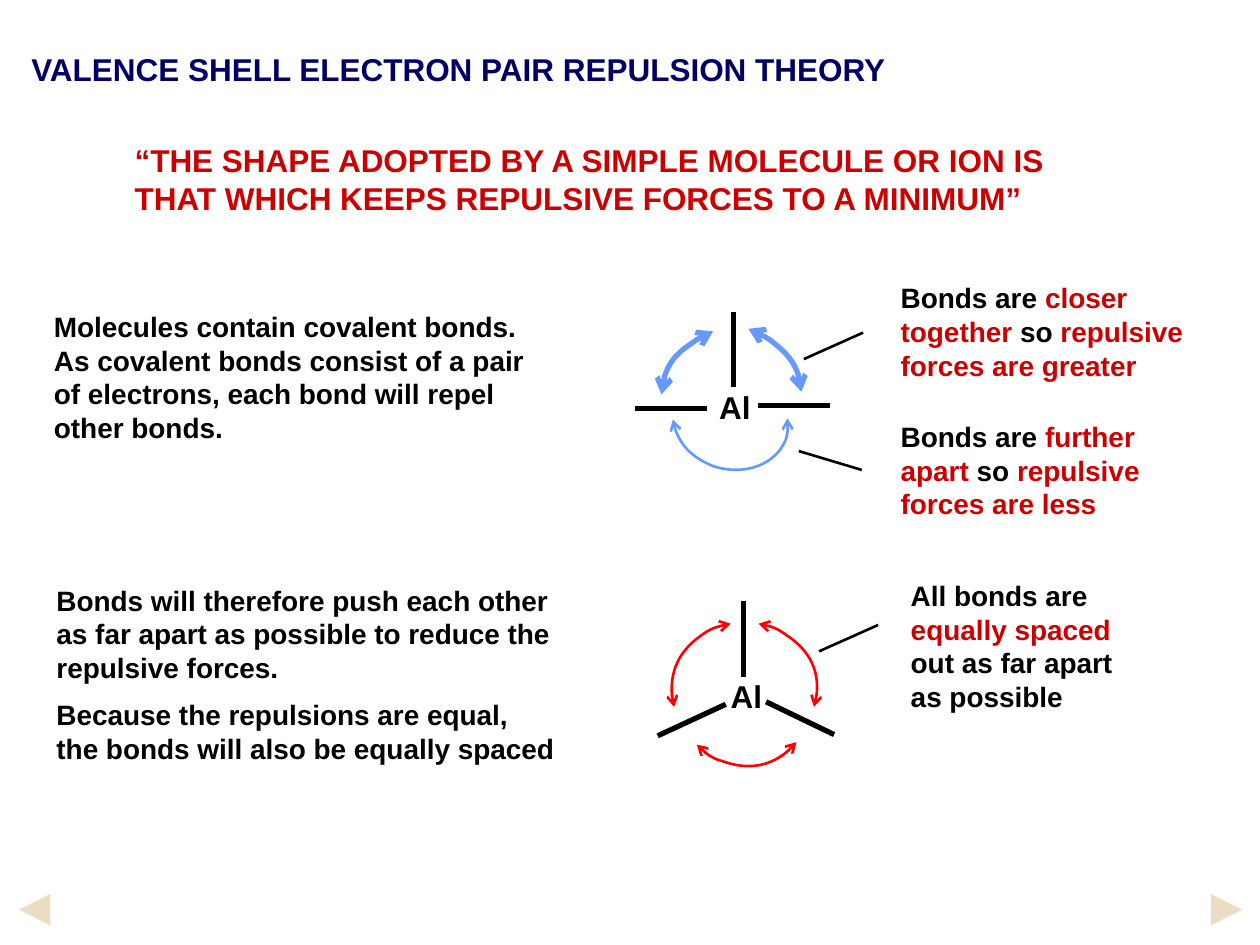
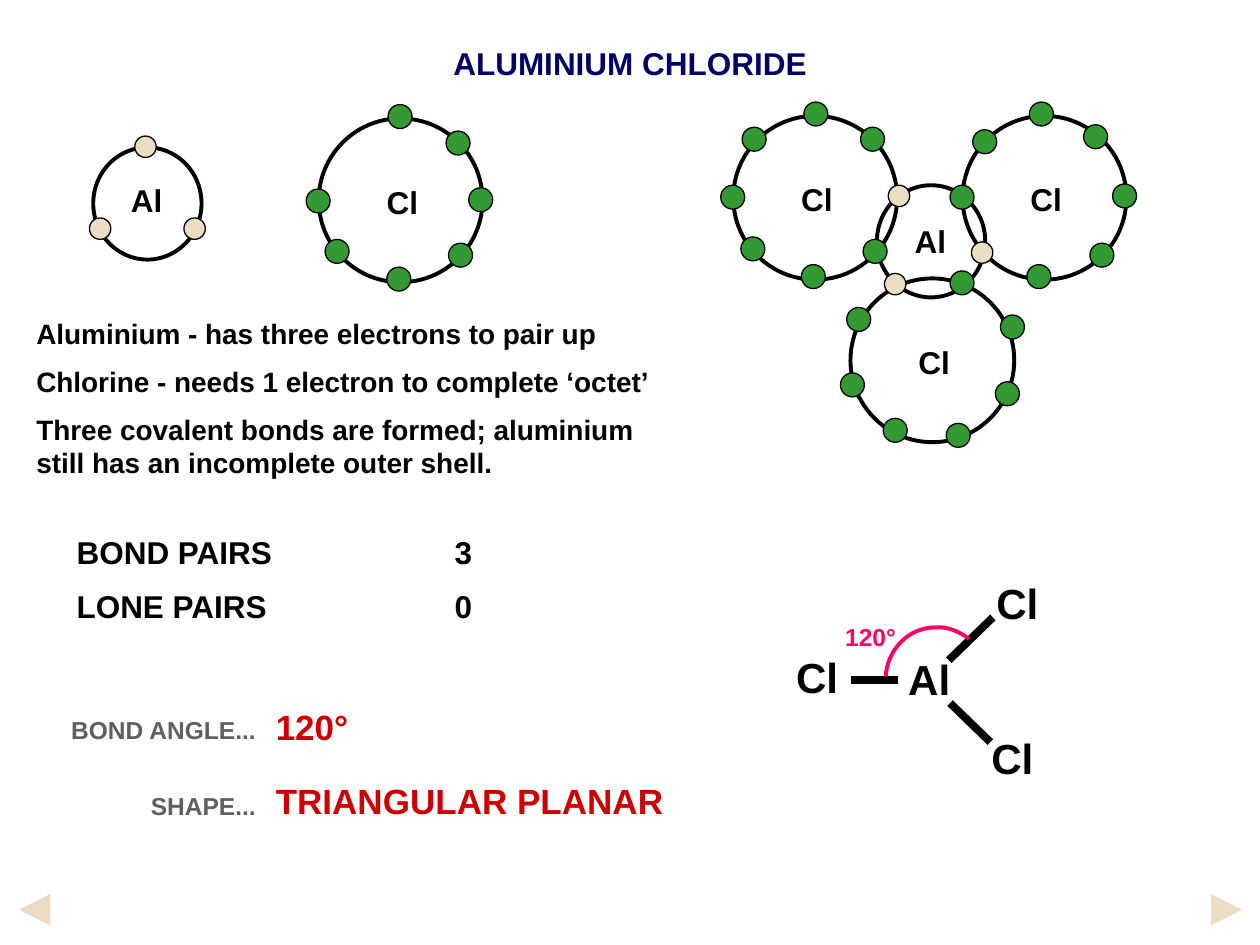
from dataclasses import dataclass
from math import cos, radians, sin
from typing import NamedTuple

from lxml import etree
from pptx import Presentation
from pptx.dml.color import RGBColor
from pptx.enum.shapes import MSO_CONNECTOR, MSO_SHAPE
from pptx.enum.text import MSO_ANCHOR, PP_ALIGN
from pptx.oxml.ns import qn
from pptx.util import Pt

PX = 9144  # 100 px to the inch
FONT = "Arial"
BLACK = RGBColor(0x00, 0x00, 0x00)
NAVY = RGBColor(0x00, 0x00, 0x66)
CRIMSON = RGBColor(0xCC, 0x00, 0x00)
RED = RGBColor(0xFF, 0x00, 0x00)
BLUE = RGBColor(0x66, 0x99, 0xFF)
PINK = RGBColor(0xFF, 0x00, 0x66)
GREY = RGBColor(0x5F, 0x5F, 0x5F)
SAND = RGBColor(0xEB, 0xDD, 0xC3)
GREEN = RGBColor(0x33, 0x99, 0x33)
TOP, MIDDLE = MSO_ANCHOR.TOP, MSO_ANCHOR.MIDDLE
LEFT, RIGHT = PP_ALIGN.LEFT, PP_ALIGN.RIGHT
OVAL = MSO_SHAPE.OVAL
STRAIGHT = MSO_CONNECTOR.STRAIGHT

Point = tuple[int, int]


@dataclass(frozen=True)
class Note:
    """A text box; bars in its text switch between plain and crimson."""
    x: int
    y: int
    w: int
    h: int
    lines: tuple[str, ...]
    size: int = 16
    color: RGBColor = BLACK
    anchor: MSO_ANCHOR = MIDDLE
    align: PP_ALIGN = LEFT
    wrap: bool = True
    pitch: int = 0
    tabs: tuple[int, ...] = ()


class Line(NamedTuple):
    start: Point
    end: Point
    width: float = 3
    color: RGBColor = BLACK
    tip: str = ""


class Curve(NamedTuple):
    """Cubic curves: a start, then two controls and an end for each.

    The box is the frame before it is turned by spin degrees.
    """
    box: tuple[int, int, int, int]
    spin: float
    points: tuple[Point, ...]
    color: RGBColor
    width: float
    tip: str = "arrow"


class Kind(NamedTuple):
    name: str
    w: int
    h: int
    dot: int
    color: RGBColor


class Atom(NamedTuple):
    kind: Kind
    x: int
    y: int
    tag: Point
    dots: tuple[Point, ...]


AL = Kind("Al", 86, 89, 17, SAND)
CL = Kind("Cl", 130, 130, 19, GREEN)

NAV = (
    Line((965, 722), (986, 722), 6, SAND, "triangle"),
    Line((36, 722), (15, 722), 6, SAND, "triangle"),
)


def tag(name: str, x: int, y: int, size: int = 18) -> Note:
    """A chemical symbol in a box that suits its size."""
    w, h = (45, 40) if size == 18 else (53, 50)
    return Note(x, y, w, h, (name,), size, wrap=False)


def add_tabs(para, tabs: tuple[int, ...]) -> None:
    stops = etree.SubElement(para._p.get_or_add_pPr(), qn("a:tabLst"))
    for tab in tabs:
        etree.SubElement(stops, qn("a:tab"), pos=str(tab * PX), algn="l")


def add_note(slide, note: Note) -> None:
    box = slide.shapes.add_textbox(*(v * PX for v in (note.x, note.y, note.w, note.h)))
    frame = box.text_frame
    frame.word_wrap = note.wrap
    frame.vertical_anchor = note.anchor
    for i, line in enumerate(note.lines):
        para = frame.paragraphs[0] if i == 0 else frame.add_paragraph()
        para.alignment = note.align
        if i:
            para.space_before = Pt(note.size / 2)
        if note.pitch:
            para.line_spacing = Pt(note.pitch)
        if note.tabs:
            add_tabs(para, note.tabs)
        for j, part in enumerate(line.split("|")):
            run = para.add_run()
            run.text = part
            font = run.font
            font.name, font.size, font.bold = FONT, Pt(note.size), True
            font.color.rgb = CRIMSON if j % 2 else note.color


def style(line, color: RGBColor, width: float, ends: dict[str, str]) -> None:
    """Set colour and width, and the arrowheads named in ends."""
    line.color.rgb = color
    line.width = Pt(width)
    for end, tip in ends.items():
        if tip:
            mark = etree.SubElement(line._get_or_add_ln(), qn(f"a:{end}"))
            mark.set("type", tip)


def add_line(slide, line: Line) -> None:
    spots = (v * PX for v in line.start + line.end)
    shape = slide.shapes.add_connector(STRAIGHT, *spots)
    style(shape.line, line.color, line.width, {"tailEnd": line.tip})
    etree.SubElement(shape._element.spPr, qn("a:effectLst"))


def turn_back(curve: Curve) -> list[Point]:
    """Give the points, in EMU, as they lie before the box is turned."""
    x, y, w, h = curve.box
    mx, my = x + w / 2, y + h / 2
    c, s = cos(radians(curve.spin)), sin(radians(curve.spin))
    return [(round((mx + (px - mx) * c + (py - my) * s) * PX),
             round((my - (px - mx) * s + (py - my) * c) * PX))
            for px, py in curve.points]


def bend(path) -> None:
    """Join each three straight steps of a path into one cubic curve."""
    steps = path.findall(qn("a:lnTo"))
    for i in range(0, len(steps), 3):
        cubic = etree.SubElement(path, qn("a:cubicBezTo"))
        for step in steps[i:i + 3]:
            cubic.append(step[0])
            path.remove(step)


def add_curve(slide, curve: Curve) -> None:
    first, *rest = turn_back(curve)
    pen = slide.shapes.build_freeform(*first)
    pen.add_line_segments(rest, close=False)
    shape = pen.convert_to_shape()
    x, y, w, h = (v * PX for v in curve.box)
    path = next(shape._element.iter(qn("a:path")))
    bend(path)
    for spot in path.iter(qn("a:pt")):
        spot.set("x", str(int(spot.get("x")) + shape.left - x))
        spot.set("y", str(int(spot.get("y")) + shape.top - y))
    path.set("w", str(w))
    path.set("h", str(h))
    shape.left, shape.top, shape.width, shape.height = x, y, w, h
    shape.rotation = curve.spin
    shape.shadow.inherit = False
    shape.fill.background()
    ends = {"headEnd": curve.tip, "tailEnd": curve.tip}
    style(shape.line, curve.color, curve.width, ends)


def add_oval(slide, x: int, y: int, w: int, h: int, width: float,
             fill: RGBColor | None = None) -> None:
    shape = slide.shapes.add_shape(OVAL, x * PX, y * PX, w * PX, h * PX)
    shape.shadow.inherit = False
    if fill is None:
        shape.fill.background()
    else:
        shape.fill.solid()
        shape.fill.fore_color.rgb = fill
    style(shape.line, BLACK, width, {})


def add_atoms(slide, atoms: tuple[Atom, ...]) -> None:
    """Draw all rings and symbols first, then the electrons on top."""
    for kind, x, y, spot, _ in atoms:
        add_oval(slide, x, y, kind.w, kind.h, 2.25)
        add_note(slide, tag(kind.name, *spot))
    for kind, _, _, _, dots in atoms:
        for x, y in dots:
            add_oval(slide, x, y, kind.dot, kind.dot, 0.75, kind.color)


def add_slide(deck, title: Note):
    slide = deck.slides.add_slide(deck.slide_layouts[6])
    add_note(slide, title)
    for arrow in NAV:
        add_line(slide, arrow)
    return slide


THEORY = Note(15, 35, 971, 50, ("VALENCE SHELL ELECTRON PAIR REPULSION THEORY",),
              18, NAVY, TOP)
RULES = (
    Note(97, 107, 807, 95, ("“THE SHAPE ADOPTED BY A SIMPLE MOLECULE OR ION IS THAT "
         "WHICH KEEPS REPULSIVE FORCES TO A MINIMUM”",), 18, CRIMSON, TOP),
    Note(33, 241, 403, 108, ("Molecules contain covalent bonds. As covalent bonds consist "
         "of a pair of electrons, each bond will repel other bonds.",), anchor=TOP),
    Note(35, 458, 417, 157, (
        "Bonds will therefore push each other as far apart as possible to reduce "
        "the repulsive forces.",
        "Because the repulsions are equal, the bonds will also be equally spaced"),
        anchor=TOP),
    Note(705, 218, 254, 90,
         ("Bonds are |closer together| so |repulsive forces are greater",)),
    Note(705, 328, 223, 90,
         ("Bonds are |further apart |so |repulsive forces are less",)),
    Note(713, 454, 207, 117,
         ("All bonds are |equally spaced |out as far apart as possible",)),
    tag("Al", 561, 303),
    tag("Al", 570, 532),
)
BONDS = (
    Line((582, 248), (582, 307)),
    Line((561, 324), (504, 324)),
    Line((659, 322), (602, 322)),
    Line((590, 477), (590, 537)),
    Line((576, 559), (522, 584)),
    Line((608, 557), (662, 583)),
    Line((638, 285), (685, 264), 1.5),
    Line((634, 358), (684, 373), 1.5),
    Line((650, 517), (697, 496), 1.5),
)
FORCES = (
    Curve((597, 259, 31, 62), 124.2, (
        (636, 311), (637, 297), (626, 281), (610, 269),
        (605, 266), (600, 263), (594, 261)), BLUE, 3),
    Curve((532, 261, 31, 62), 235.8, (
        (525, 313), (524, 299), (534, 282), (551, 271),
        (555, 268), (561, 265), (566, 263)), BLUE, 3),
    Curve((550, 300, 55, 89), 109.7, (
        (625, 332), (626, 338), (625, 343), (624, 348),
        (616, 369), (591, 378), (566, 370),
        (549, 363), (536, 349), (534, 333)), BLUE, 1.5),
    Curve((536, 494, 47, 74), 235.8, (
        (535, 561), (529, 540), (538, 517), (557, 504),
        (564, 499), (572, 496), (580, 495)), RED, 1.5),
    Curve((598, 494, 47, 74), 124.2, (
        (646, 561), (653, 540), (644, 517), (624, 504),
        (617, 499), (610, 496), (602, 495)), RED, 1.5),
    Curve((570, 550, 47, 74), 109.7, (
        (632, 589), (619, 606), (595, 612), (573, 604),
        (566, 602), (558, 597), (553, 591)), RED, 1.5),
)

CHLORIDE = Note(350, 30, 301, 40, ("ALUMINIUM CHLORIDE",), 18, NAVY, wrap=False)
ATOMS = (
    Atom(AL, 74, 117, (94, 139), ((146, 173), (107, 108), (71, 173))),
    Atom(CL, 253, 94, (297, 140), ((308, 83), (243, 150), (372, 149), (307, 212),
                                   (356, 193), (258, 190), (354, 104))),
    Atom(CL, 764, 92, (808, 138), ((817, 81), (754, 147), (883, 146), (815, 210),
                                   (865, 193), (772, 103), (860, 99))),
    Atom(CL, 675, 221, (719, 267), ((754, 215), (667, 296), (794, 250), (751, 336),
                                    (790, 303), (701, 332), (672, 244))),
    Atom(CL, 582, 92, (626, 138), ((638, 81), (572, 147), (589, 101), (636, 210),
                                   (685, 190), (588, 188), (683, 101))),
    Atom(AL, 696, 147, (716, 171), ((705, 147), (702, 217), (771, 192))),
)
FACTS = (
    Note(19, 244, 514, 144, (
        "Aluminium - has three electrons to pair up",
        "Chlorine - needs 1 electron to complete ‘octet’",
        "Three covalent bonds are formed; aluminium still has an incomplete outer shell.")),
    Note(51, 417, 334, 85, ("BOND PAIRS\t\t3", "LONE PAIRS\t\t0"), 18,
         wrap=False, tabs=(200, 300)),
    Note(46, 535, 167, 122, ("BOND ANGLE...", "SHAPE..."), 14, GREY,
         align=RIGHT, wrap=False, pitch=36),
    Note(209, 542, 331, 117, ("120°", "TRIANGULAR PLANAR"), 20, CRIMSON,
         wrap=False, pitch=32),
    Note(661, 489, 60, 33, ("120°",), 14, PINK, wrap=False),
    tag("Al", 711, 514, 24),
    tag("Cl", 622, 512, 24),
    tag("Cl", 777, 576, 24),
    tag("Cl", 781, 453, 24),
)
ARMS = (
    Line((675, 540), (713, 540), 4.5),
    Line((753, 524), (788, 490), 4.5),
    Line((754, 558), (786, 589), 4.5),
)
ANGLE = Curve((702, 498, 67, 42), 357.8, (
    (703, 537), (704, 516), (721, 498), (742, 498),
    (752, 497), (761, 501), (769, 507)), PINK, 2.25, "")


def main() -> None:
    deck = Presentation()
    deck.slide_width, deck.slide_height = 1000 * PX, 750 * PX

    slide = add_slide(deck, THEORY)
    for note in RULES:
        add_note(slide, note)
    for bond in BONDS:
        add_line(slide, bond)
    for force in FORCES:
        add_curve(slide, force)

    slide = add_slide(deck, CHLORIDE)
    add_atoms(slide, ATOMS)
    for note in FACTS:
        add_note(slide, note)
    for arm in ARMS:
        add_line(slide, arm)
    add_curve(slide, ANGLE)

    deck.save("out.pptx")


if __name__ == "__main__":
    main()
